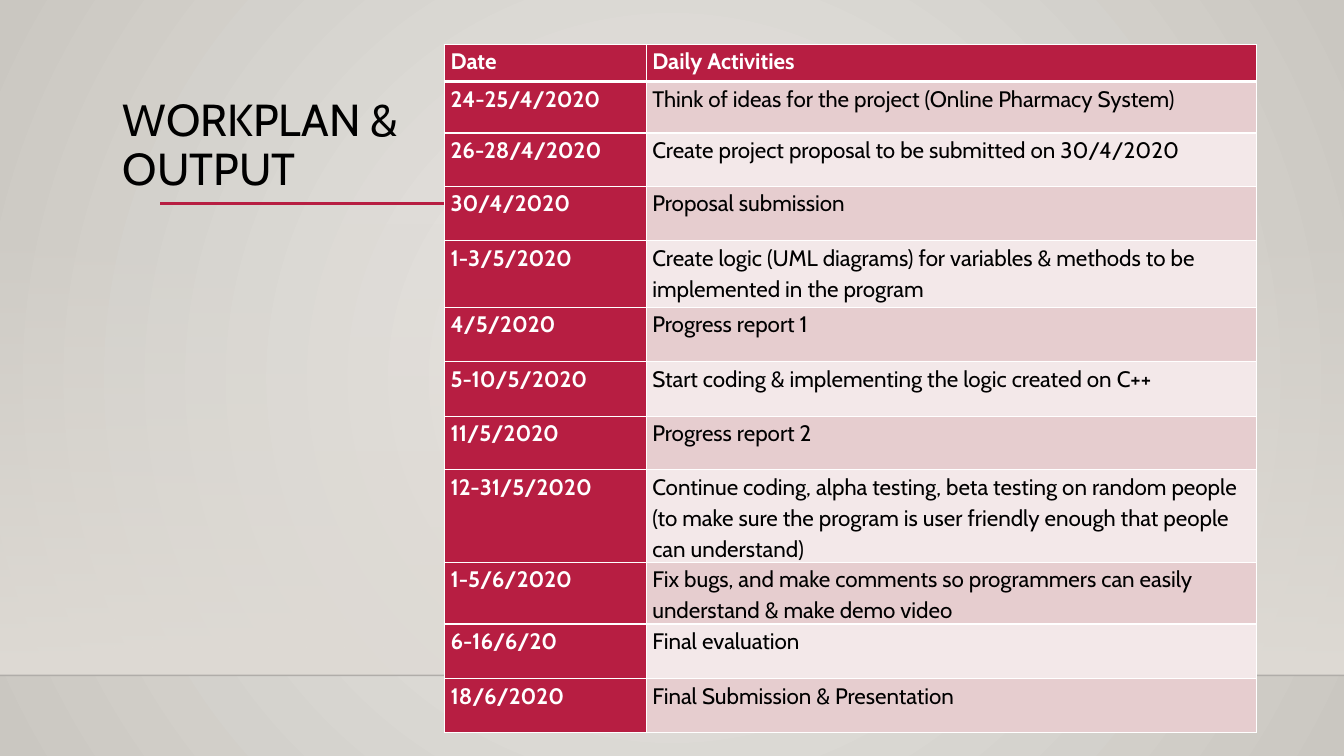
"""Builds the workplan slide with its dated table of daily activities."""
from lxml import etree
from pptx import Presentation
from pptx.dml.color import RGBColor
from pptx.enum.shapes import MSO_CONNECTOR, MSO_SHAPE
from pptx.enum.text import MSO_ANCHOR
from pptx.oxml.ns import qn
from pptx.util import Inches, Pt

STRAIGHT = MSO_CONNECTOR.STRAIGHT
RECTANGLE = MSO_SHAPE.RECTANGLE
MIDDLE = MSO_ANCHOR.MIDDLE

FONT = "Cabin"
CRIMSON, WHITE, BLACK, SAND = "B71E42", "FFFFFF", "000000", "DFDBD5"
ROW_TINTS = ("E6CDCF", "F3E8E9")
COLUMN_WIDTHS = (2, 6.05)
WORKPLAN = [
    (0.37, "Date", "Daily Activities"),
    (0.51, "24-25/4/2020", "Think of ideas for the project (Online Pharmacy System)"),
    (0.53, "26-28/4/2020", "Create project proposal to be submitted on 30/4/2020"),
    (0.54, "30/4/2020", "Proposal submission"),
    (0.66, "1-3/5/2020", "Create logic (UML diagrams) for variables & methods to be "
                         "implemented in the program"),
    (0.54, "4/5/2020", "Progress report 1"),
    (0.54, "5-10/5/2020", "Start coding & implementing the logic created on C++"),
    (0.53, "11/5/2020", "Progress report 2"),
    (0.75, "12-31/5/2020", "Continue coding, alpha testing, beta testing on random people "
                           "(to make sure the program is user friendly enough that people "
                           "can understand)"),
    (0.53, "1-5/6/2020", "Fix bugs, and make comments so programmers can easily "
                         "understand & make demo video"),
    (0.54, "6-16/6/20", "Final evaluation"),
    (0.54, "18/6/2020", "Final Submission & Presentation"),
]


def color(hex_string):
    return RGBColor.from_string(hex_string)


def set_opacity(element, percent):
    rgb = next(element.iter(qn("a:srgbClr")))
    etree.SubElement(rgb, qn("a:alpha"), val=str(percent * 1000))


class SlideBuilder:
    def __init__(self, slide):
        self.slide = slide
        self.font = FONT

    def gradient(self, fill, start, end):
        fill.gradient()
        for stop, hex_string in zip(fill.gradient_stops, (start, end)):
            stop.color.rgb = color(hex_string)

    def background(self, center, edge):
        self.gradient(self.slide.background.fill, center, edge)
        gradient = next(self.slide._element.iter(qn("a:gradFill")))
        gradient.remove(gradient.find(qn("a:lin")))
        circle = etree.SubElement(gradient, qn("a:path"), path="circle")
        etree.SubElement(circle, qn("a:fillToRect"), l="50000", t="50000", r="50000", b="50000")

    def fading_band(self, left, top, width, height, hex_string):
        shape = self.slide.shapes.add_shape(
            RECTANGLE, Inches(left), Inches(top), Inches(width), Inches(height))
        shape.shadow.inherit = False
        shape.line.fill.background()
        self.gradient(shape.fill, hex_string, hex_string)
        shape.fill.gradient_angle = 270
        set_opacity(shape._element.spPr, 0)

    def horizontal_line(self, left, right, y, hex_string, width, opacity=100):
        connector = self.slide.shapes.add_connector(
            STRAIGHT, Inches(left), Inches(y), Inches(right), Inches(y))
        connector.line.color.rgb = color(hex_string)
        connector.line.width = Pt(width)
        properties = connector._element.spPr
        if opacity < 100:
            set_opacity(properties, opacity)
        etree.SubElement(properties, qn("a:effectLst"))

    def fill_text(self, text_frame, text, size, hex_string, spacing, bold=False):
        text_frame.word_wrap = True
        text_frame.text = text
        paragraph = text_frame.paragraphs[0]
        paragraph.line_spacing = spacing
        for run in paragraph.runs:
            run.font.name = self.font
            run.font.size = Pt(size)
            run.font.bold = bold
            run.font.color.rgb = color(hex_string)

    def title(self, left, top, width, height, text):
        box = self.slide.shapes.add_textbox(
            Inches(left), Inches(top), Inches(width), Inches(height))
        box.text_frame.vertical_anchor = MIDDLE
        self.fill_text(box.text_frame, text, 32, BLACK, 0.9)

    def borders(self, cell, top, bottom):
        properties = cell._tc.get_or_add_tcPr()
        for side, width in (("L", 1), ("R", 1), ("T", top), ("B", bottom)):
            line = etree.SubElement(properties, qn(f"a:ln{side}"), w=str(Pt(width)))
            fill = etree.SubElement(line, qn("a:solidFill"))
            etree.SubElement(fill, qn("a:srgbClr"), val=WHITE)

    def table(self, left, top, rows, column_widths):
        heights = [row[0] for row in rows]
        table = self.slide.shapes.add_table(
            len(rows), len(column_widths), Inches(left), Inches(top),
            Inches(sum(column_widths)), Inches(sum(heights))).table
        for column, width in zip(table.columns, column_widths):
            column.width = Inches(width)
        for row_index, (height, *texts) in enumerate(rows):
            table.rows[row_index].height = Inches(height)
            for column_index, text in enumerate(texts):
                cell = table.cell(row_index, column_index)
                is_header = row_index == 0 or column_index == 0
                cell.margin_left = cell.margin_right = Inches(0.06)
                cell.margin_top = cell.margin_bottom = 0
                self.borders(cell, 3 if row_index == 1 else 1, 3 if row_index == 0 else 1)
                cell.fill.solid()
                tint = CRIMSON if is_header else ROW_TINTS[(row_index - 1) % 2]
                cell.fill.fore_color.rgb = color(tint)
                self.fill_text(cell.text_frame, text, 16, WHITE if is_header else BLACK,
                               1.15, is_header)


def main():
    presentation = Presentation()
    presentation.slide_width = Inches(13.33)
    presentation.slide_height = Inches(7.5)
    builder = SlideBuilder(presentation.slides.add_slide(presentation.slide_layouts[6]))
    builder.background("ECEAE7", "CAC7C1")
    builder.fading_band(0, 2.21, 13.33, 4.49, SAND)
    builder.horizontal_line(0, 13.33, 6.7, "000001", 1, opacity=20)
    builder.horizontal_line(1.59, 12.1, 2.02, CRIMSON, 2.5)
    builder.title(1.12, 0.88, 10.5, 1.15, "WORKPLAN &\vOUTPUT")
    builder.table(4.41, 0.44, WORKPLAN, COLUMN_WIDTHS)
    presentation.save("out.pptx")


if __name__ == "__main__":
    main()
